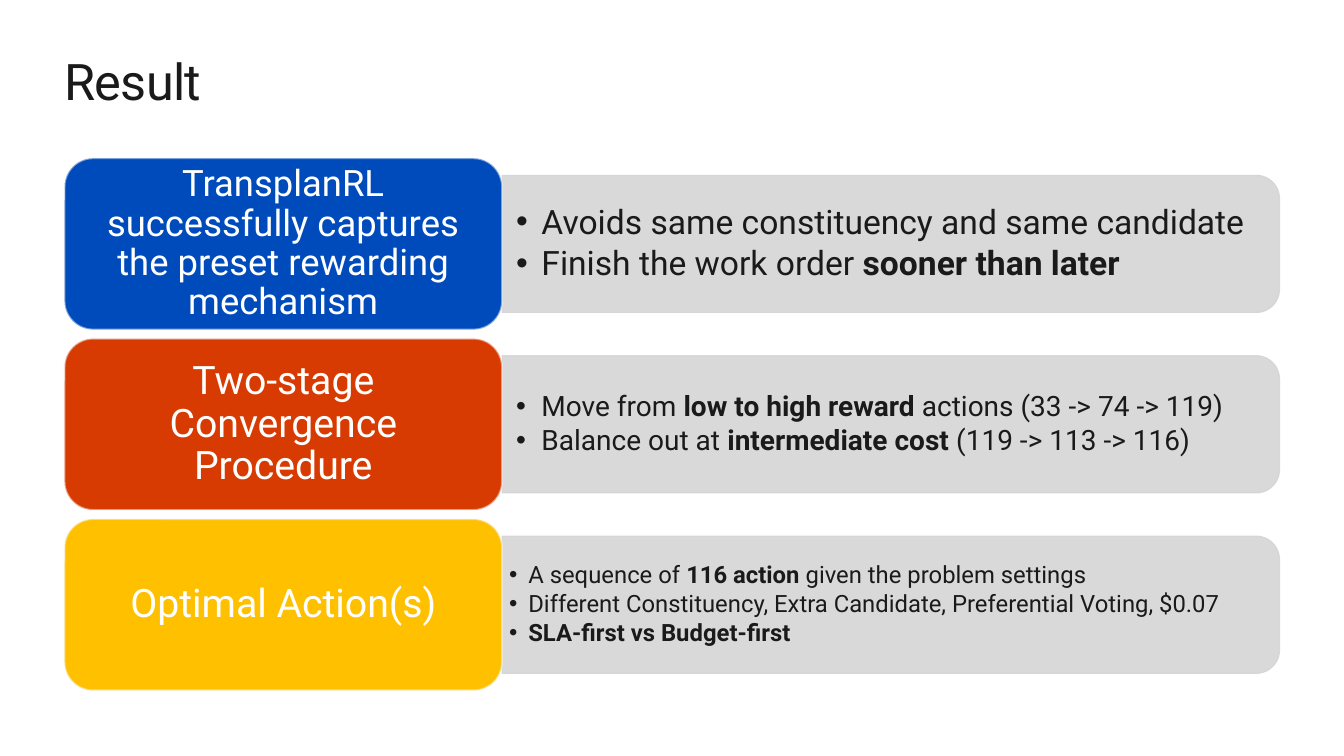
from math import cos, pi, sin

from lxml.etree import SubElement
from pptx import Presentation
from pptx.dml.color import RGBColor
from pptx.enum.shapes import MSO_SHAPE
from pptx.enum.text import MSO_ANCHOR, PP_ALIGN
from pptx.oxml.ns import qn
from pptx.util import Inches, Pt

FONT = "Roboto"
INK = "1A1A1A"
PANEL_GREY = "D5D5D5"
LEFT, SPLIT, RIGHT = 0.64, 4.98, 12.69
FIRST_TOP, ROW_PITCH = 1.57, 1.79
LABEL_HEIGHT, PANEL_HEIGHT = 1.7, 1.36
PANEL_RADIUS = 0.23

FINDINGS = [
    {
        "label": "TransplanRL successfully captures the preset rewarding mechanism",
        "color": "004BBC", "label_size": 26, "size": 24,
        "indent": 0.25, "insets": (0.14, 0.14, 0.21, 0.14),
        "points": [
            [("Avoids same constituency and same candidate", False)],
            [("Finish the work order ", False), ("sooner than later", True)],
        ],
    },
    {
        "label": "Two-stage Convergence Procedure",
        "color": "D83B01", "label_size": 28, "size": 20,
        "indent": 0.25, "insets": (0.14, 0.14, 0.21, 0.14),
        "points": [
            [("Move from ", False), ("low to high reward", True),
             (" actions (33 -> 74 -> 119)", False)],
            [("Balance out at ", False), ("intermediate cost", True),
             (" (119 -> 113 -> 116)", False)],
        ],
    },
    {
        "label": "Optimal Action(s)",
        "color": "FFC000", "label_size": 28, "size": 17,
        "indent": 0.19, "insets": (0.07, 0.1, 0.14, 0.1),
        "points": [
            [("A sequence of ", False), ("116 action", True),
             (" given the problem settings", False)],
            [("Different Constituency, Extra Candidate, Preferential Voting, $0.07", False)],
            [("SLA-first vs Budget-first", True)],
        ],
    },
]


def rgb(value):
    """Return a colour from a hex string."""
    return RGBColor.from_string(value)


def set_font(font, size, color, bold=False):
    """Apply the slide typeface with a size, colour and weight."""
    font.name = FONT
    font.size = Pt(size)
    font.bold = bold
    font.color.rgb = rgb(color)


def set_opacity(fill, percent):
    """Make a solid fill partly transparent."""
    color = fill._xPr.find(qn("a:solidFill"))[0]
    SubElement(color, qn("a:alpha"), val=str(percent * 1000))


def paint(shape, fill, line, width, line_opacity):
    """Give a shape its flat fill and outline."""
    shape.shadow.inherit = False
    shape.fill.solid()
    shape.fill.fore_color.rgb = rgb(fill)
    shape.line.width = Pt(width)
    shape.line.color.rgb = rgb(line)
    set_opacity(shape.line.fill, line_opacity)


def set_frame(frame, insets, anchor=MSO_ANCHOR.MIDDLE):
    """Set wrapping, anchor and insets (left, top, right, bottom)."""
    frame.word_wrap = True
    frame.vertical_anchor = anchor
    left, top, right, bottom = insets
    frame.margin_left, frame.margin_top = Inches(left), Inches(top)
    frame.margin_right, frame.margin_bottom = Inches(right), Inches(bottom)


def set_bullet(paragraph, indent):
    """Add a round bullet with a hanging indent."""
    properties = paragraph._p.get_or_add_pPr()
    properties.set("marL", str(Inches(indent)))
    properties.set("indent", str(-Inches(indent)))
    SubElement(properties, qn("a:buFont"), typeface="Arial")
    SubElement(properties, qn("a:buChar"), char="•")


def add_title(slide, text):
    """Add the slide heading."""
    heading = slide.shapes.add_textbox(
        Inches(LEFT), Inches(0.5), Inches(RIGHT - LEFT), Inches(0.61))
    set_frame(heading.text_frame, (0, 0, 0, 0), MSO_ANCHOR.TOP)
    heading.text_frame.text = text
    run = heading.text_frame.paragraphs[0].runs[0]
    set_font(run.font, 36, INK)
    run._r.get_or_add_rPr().set("spc", "-50")


def corner(center_x, center_y, start):
    """Return points along a quarter circle, clockwise from an angle."""
    angles = [start + pi / 2 * step / 16 for step in range(17)]
    return [(Inches(center_x + PANEL_RADIUS * cos(a)),
             Inches(center_y + PANEL_RADIUS * sin(a))) for a in angles]


def add_panel(slide, top, finding):
    """Add a grey panel, rounded on the right, with its bullet points."""
    bottom = top + PANEL_HEIGHT
    arc_x = RIGHT - PANEL_RADIUS
    outline = slide.shapes.build_freeform(Inches(SPLIT), Inches(top))
    outline.add_line_segments(
        corner(arc_x, top + PANEL_RADIUS, -pi / 2)
        + corner(arc_x, bottom - PANEL_RADIUS, 0)
        + [(Inches(SPLIT), Inches(bottom))])
    panel = outline.convert_to_shape()
    paint(panel, PANEL_GREY, PANEL_GREY, 0.85, 90)
    set_opacity(panel.fill, 90)
    frame = panel.text_frame
    set_frame(frame, finding["insets"])
    for index, point in enumerate(finding["points"]):
        paragraph = frame.add_paragraph() if index else frame.paragraphs[0]
        paragraph.alignment = PP_ALIGN.LEFT
        paragraph.line_spacing = 0.9
        paragraph.space_after = Pt(0.15 * finding["size"])
        set_bullet(paragraph, finding["indent"])
        for text, bold in point:
            run = paragraph.add_run()
            run.text = text
            set_font(run.font, finding["size"], INK, bold)


def add_label(slide, top, finding):
    """Add a coloured rounded label."""
    label = slide.shapes.add_shape(
        MSO_SHAPE.ROUNDED_RECTANGLE, Inches(LEFT), Inches(top),
        Inches(SPLIT - LEFT), Inches(LABEL_HEIGHT))
    paint(label, finding["color"], "F9F9F9", 1.35, 50)
    set_frame(label.text_frame, (0.11, 0.06, 0.11, 0.06))
    label.text_frame.text = finding["label"]
    paragraph = label.text_frame.paragraphs[0]
    paragraph.alignment = PP_ALIGN.CENTER
    paragraph.line_spacing = 0.9
    paragraph.space_after = Pt(0.35 * finding["label_size"])
    set_font(paragraph.runs[0].font, finding["label_size"], "FFFFFF")


def main():
    """Build the result slide."""
    deck = Presentation()
    deck.slide_width, deck.slide_height = Inches(13.33), Inches(7.5)
    slide = deck.slides.add_slide(deck.slide_layouts[6])
    add_title(slide, "Result")
    for row, finding in enumerate(FINDINGS):
        top = FIRST_TOP + row * ROW_PITCH
        add_panel(slide, top + (LABEL_HEIGHT - PANEL_HEIGHT) / 2, finding)
        add_label(slide, top, finding)
    deck.save("out.pptx")


if __name__ == "__main__":
    main()
